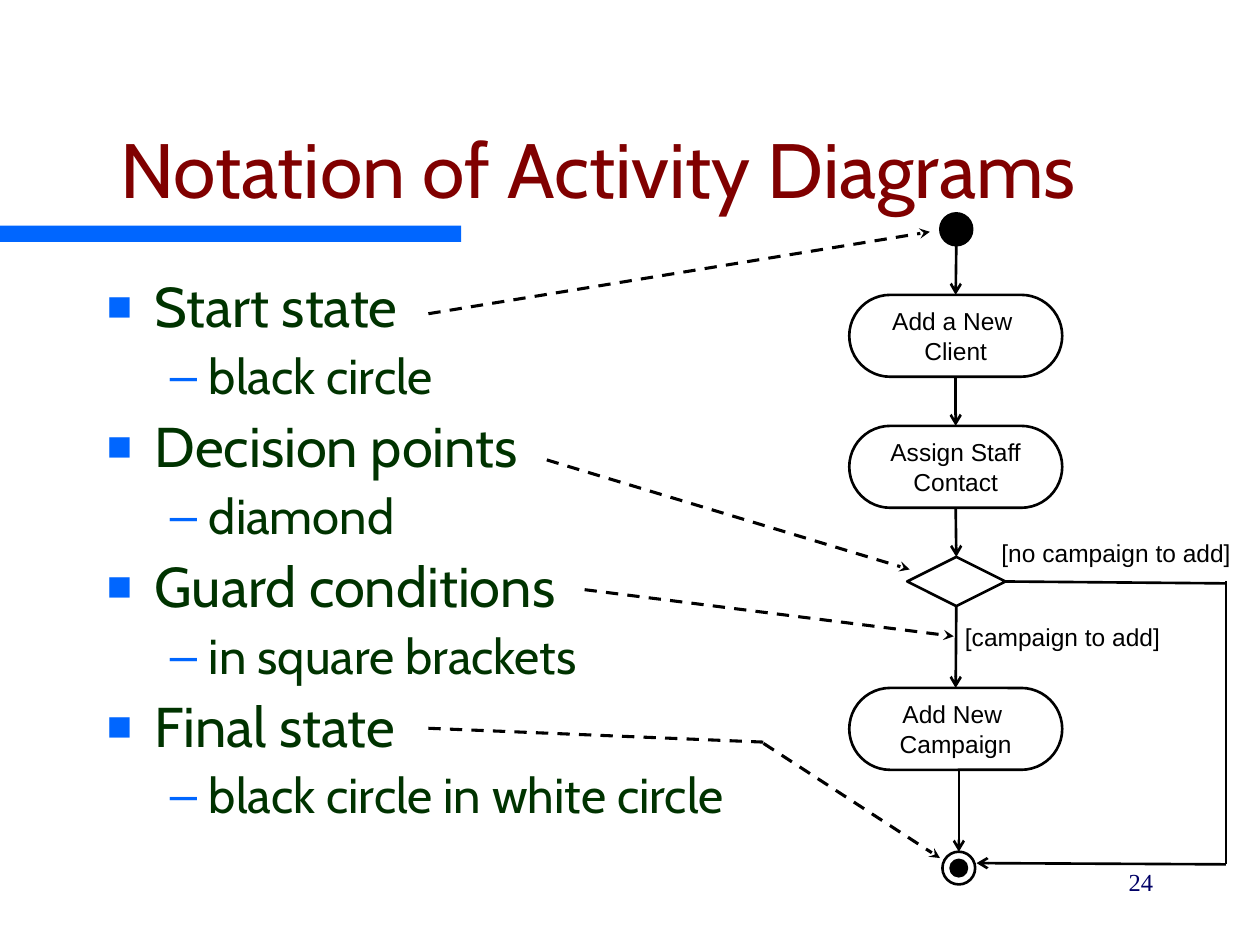
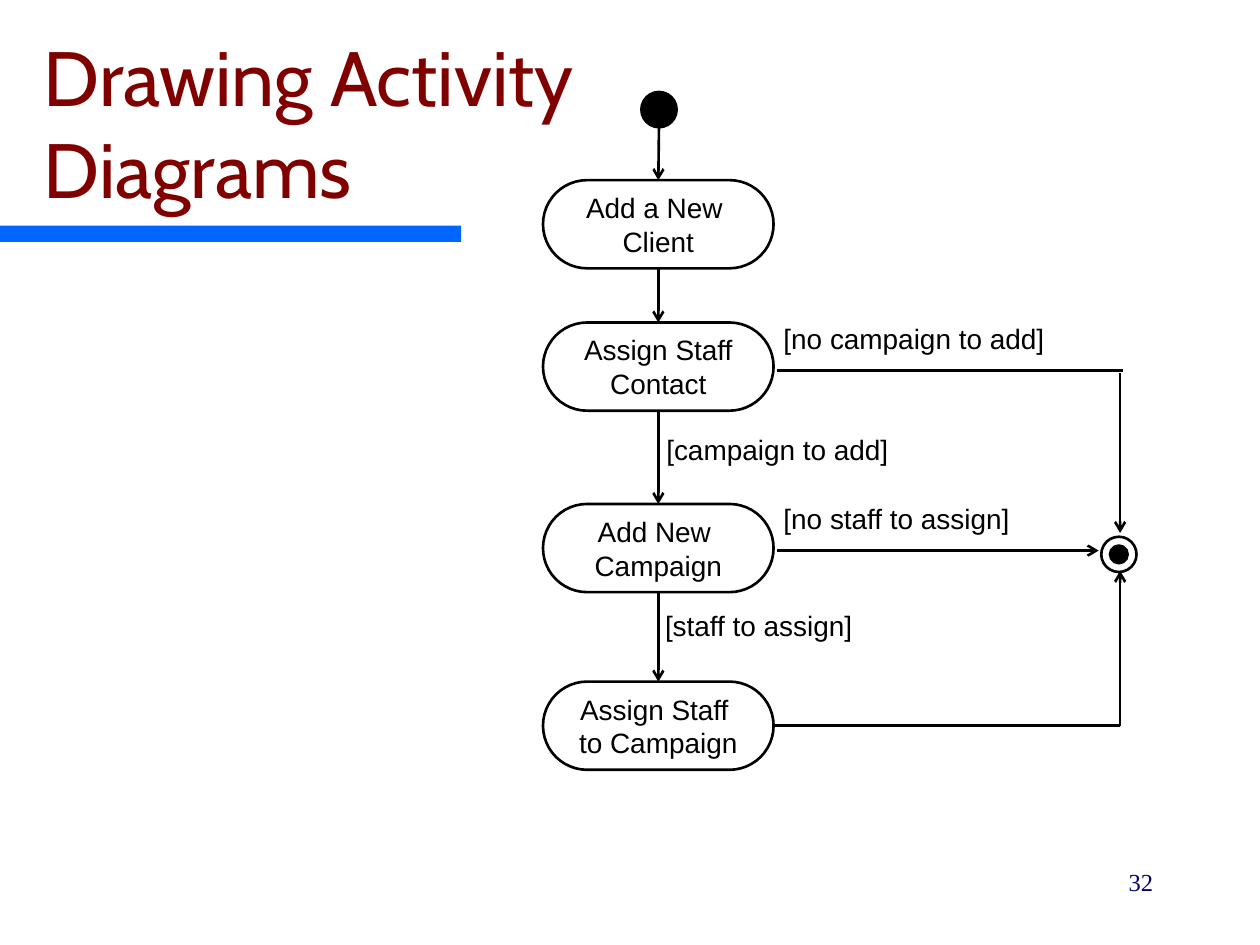
from lxml import etree
from pptx import Presentation
from pptx.dml.color import RGBColor
from pptx.enum.dml import MSO_LINE
from pptx.enum.shapes import MSO_CONNECTOR, MSO_SHAPE
from pptx.enum.text import MSO_ANCHOR, PP_ALIGN
from pptx.oxml.ns import qn
from pptx.util import Inches, Pt

RECT = MSO_SHAPE.RECTANGLE
ROUND = MSO_SHAPE.ROUNDED_RECTANGLE
OVAL = MSO_SHAPE.OVAL
DIAMOND = MSO_SHAPE.DIAMOND
STRAIGHT = MSO_CONNECTOR.STRAIGHT
DASH = MSO_LINE.DASH
LEFT, CENTER, RIGHT = PP_ALIGN.LEFT, PP_ALIGN.CENTER, PP_ALIGN.RIGHT
TOP, MIDDLE, BOTTOM = MSO_ANCHOR.TOP, MSO_ANCHOR.MIDDLE, MSO_ANCHOR.BOTTOM
UP, DOWN, EAST = 0, 2, 3

COLORS = {
    "band": "0066FF",
    "title": "800000",
    "body": "003300",
    "ink": "000000",
    "paper": "FFFFFF",
    "number": "000066",
}


def color(name):
    return RGBColor.from_string(COLORS[name])


class Deck:
    def __init__(self):
        self.prs = Presentation()
        self.prs.slide_width = Inches(10)
        self.prs.slide_height = Inches(7.5)
        self.head = "Cabin"
        self.sans = "Arial"
        self.serif = "Times New Roman"
        self.size = 14

    def page(self, title, align, number, size):
        self.slide = self.prs.slides.add_slide(self.prs.slide_layouts[6])
        self.shapes = self.slide.shapes
        self.size = size
        self.shape(RECT, 0, 1.79, 3.66, 0.13, "band")
        self.text(0.25, 0.5, 9, 1.25, [title], self.head, 44, "title", align, BOTTOM)
        frame = self.text(7.17, 6.83, 2.08, 0.5, [number], self.serif, 14, "number", RIGHT)
        frame.paragraphs[0].space_before = Pt(8.8)

    def runs(self, par, text, font, size, tint):
        for i, part in enumerate(text.split("\n")):
            if i:
                par.add_line_break()
            run = par.add_run()
            run.text = part
            run.font.name = font
            run.font.size = Pt(size)
            run.font.color.rgb = color(tint)

    def fill(self, frame, lines, font, size, tint, align):
        for i, line in enumerate(lines):
            par = frame.add_paragraph() if i else frame.paragraphs[0]
            par.alignment = align
            self.runs(par, line, font, size, tint)

    def text(self, x, y, w, h, lines, font, size, tint, align=LEFT, anchor=TOP):
        box = self.shapes.add_textbox(Inches(x), Inches(y), Inches(w), Inches(h))
        frame = box.text_frame
        frame.word_wrap = True
        frame.vertical_anchor = anchor
        self.fill(frame, lines, font, size, tint, align)
        return frame

    def guard(self, x, y, w, label):
        self.text(x, y, w, 0.35, [label], self.sans, self.size, "ink")

    def shape(self, kind, x, y, w, h, tint, edge=None):
        item = self.shapes.add_shape(kind, Inches(x), Inches(y), Inches(w), Inches(h))
        item.shadow.inherit = False
        item.fill.solid()
        item.fill.fore_color.rgb = color(tint)
        if edge:
            item.line.color.rgb = color("ink")
            item.line.width = Pt(edge)
        else:
            item.line.fill.background()
        return item

    def step(self, x, y, w, h, lines):
        item = self.shape(ROUND, x, y, w, h, "paper", 1.5)
        item.adjustments[0] = 0.5
        frame = item.text_frame
        frame.word_wrap = False
        frame.vertical_anchor = MIDDLE
        self.fill(frame, lines, self.sans, self.size, "ink", CENTER)
        return item

    def disc(self, x, y, d, tint="ink", edge=1.5):
        return self.shape(OVAL, x - d / 2, y - d / 2, d, d, tint, edge)

    def final(self, x, y, d):
        ring = self.disc(x, y, d, "paper")
        self.disc(x, y, d / 2)
        return ring

    def wire(self, start, end, tip="arrow", width=1.5, dash=False):
        points = [(0, 0) if hasattr(p[0], "left") else p for p in (start, end)]
        spots = [Inches(v) for p in points for v in p]
        link = self.shapes.add_connector(STRAIGHT, *spots)
        if hasattr(start[0], "left"):
            link.begin_connect(*start)
        if hasattr(end[0], "left"):
            link.end_connect(*end)
        link.line.color.rgb = color("ink")
        link.line.width = Pt(width)
        if dash:
            link.line.dash_style = DASH
        props = link.element.spPr
        if tip:
            etree.SubElement(props.get_or_add_ln(), qn("a:tailEnd"), type=tip)
        etree.SubElement(props, qn("a:effectLst"))

    def hint(self, start, end, tip="stealth"):
        self.wire(start, end, tip, 1.75, True)

    def bullet(self, par, mark, left, hang, scale):
        props = par._p.get_or_add_pPr()
        props.set("marL", str(Inches(left)))
        props.set("indent", str(-Inches(hang)))
        tint = etree.SubElement(props, qn("a:buClr"))
        etree.SubElement(tint, qn("a:srgbClr"), val=COLORS["band"])
        etree.SubElement(props, qn("a:buSzPct"), val=str(scale * 1000))
        etree.SubElement(props, qn("a:buFont"), typeface=self.sans)
        etree.SubElement(props, qn("a:buChar"), char=mark)

    def outline(self, x, y, w, h, topics):
        lines = [line for pair in topics for line in pair]
        frame = self.text(x, y, w, h, [], self.head, 32, "body")
        for i, line in enumerate(lines):
            par = frame.add_paragraph() if i else frame.paragraphs[0]
            sub = i % 2
            par.level = sub
            par.line_spacing = 0.9
            par.space_before = Pt(7 if sub else 8)
            self.runs(par, line, self.head, 28 if sub else 32, "body")
            if sub:
                self.bullet(par, "–", 0.81, 0.31, 100)
            else:
                self.bullet(par, "■", 0.38, 0.38, 75)


CLIENT = ["Add a New \nClient"]
STAFF = ["Assign Staff\nContact"]
CAMPAIGN = ["Add New ", "Campaign"]
ASSIGN = ["Assign Staff ", "to Campaign"]


def notation(deck):
    deck.page("Notation of Activity Diagrams", CENTER, "24", 14)
    deck.outline(0.75, 2.17, 8.5, 4.5, [
        ("Start state", "black circle"),
        ("Decision points", "diamond"),
        ("Guard conditions", "in square brackets"),
        ("Final state", "black circle in white circle"),
    ])
    deck.guard(7.56, 4.89, 2.08, "[campaign to add]")
    deck.guard(7.85, 4.22, 2.36, "[no campaign to add]")

    mid, edge = 7.59, 9.73
    client, staff, camp = [
        deck.step(6.74, y, 1.69, 0.65, lines)
        for y, lines in ((2.34, CLIENT), (3.38, STAFF), (5.46, CAMPAIGN))
    ]
    choice = deck.shape(DIAMOND, 7.2, 4.42, 0.78, 0.39, "paper", 1.5)
    deck.disc(mid, 1.82, 0.26, edge=1)
    ring = deck.final(7.61, 6.89, 0.26)

    deck.wire((mid, 1.95), (client, UP))
    for upper, lower in ((client, staff), (staff, choice), (choice, camp)):
        deck.wire((upper, DOWN), (lower, UP))
    deck.wire((7.61, 6.11), (ring, UP))
    deck.wire((choice, EAST), (edge, 4.63), None)
    deck.wire((edge, 4.61), (edge, 6.86), None)
    deck.wire((edge, 6.86), (7.75, 6.85))

    deck.hint((3.4, 2.49), (7.38, 1.84))
    deck.hint((4.34, 3.65), (7.22, 4.52))
    deck.hint((4.64, 4.68), (7.57, 5.05))
    deck.hint((3.4, 5.78), (6.06, 5.89), None)
    deck.hint((6.06, 5.9), (7.46, 6.81))


def drawing(deck):
    deck.page("Drawing Activity \nDiagrams", LEFT, "32", 16)
    mid, edge = 5.23, 8.89
    steps = [
        deck.step(4.31, y, 1.83, 0.7, lines)
        for y, lines in ((1.43, CLIENT), (2.56, STAFF), (4, CAMPAIGN), (5.41, ASSIGN))
    ]
    deck.disc(mid, 0.87, 0.28)
    deck.final(8.88, 4.4, 0.28)

    deck.wire((mid, 1.01), (steps[0], UP))
    for upper, lower in zip(steps, steps[1:]):
        deck.wire((upper, DOWN), (lower, UP))
    deck.wire((6.17, 2.94), (8.91, 2.94), None)
    deck.wire((edge, 2.96), (edge, 4.23))
    deck.wire((6.17, 4.37), (8.72, 4.37))
    deck.wire((steps[-1], EAST), (edge, 5.76), None)
    deck.wire((edge, 5.76), (edge, 4.53))

    deck.guard(6.12, 2.5, 2.56, "[no campaign to add]")
    deck.guard(5.19, 3.38, 2.26, "[campaign to add]")
    deck.guard(6.12, 3.93, 2.56, "[no staff to assign]")
    deck.guard(5.18, 4.78, 2.23, "[staff to assign]")


def main():
    deck = Deck()
    notation(deck)
    drawing(deck)
    deck.prs.save("out.pptx")


if __name__ == "__main__":
    main()
